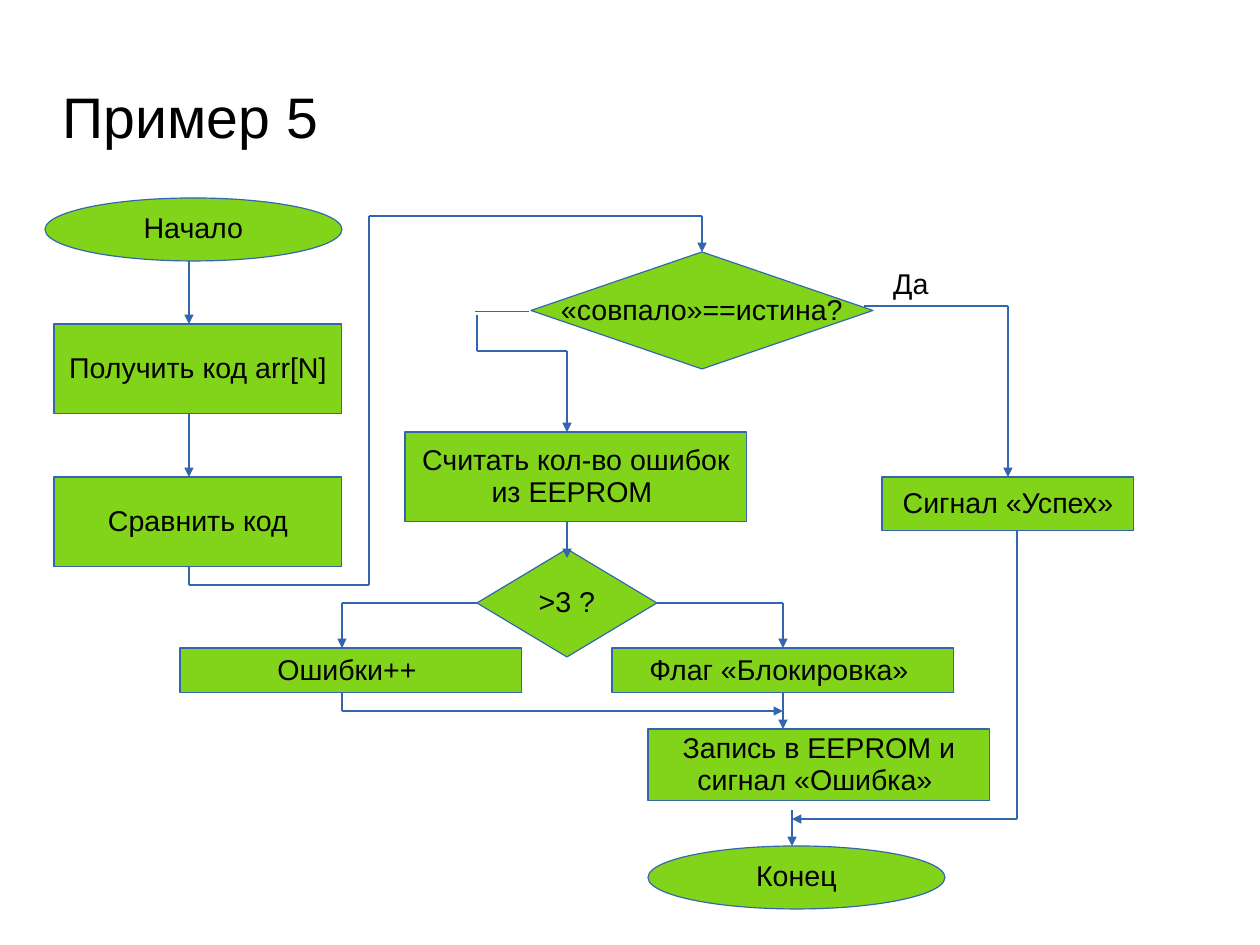
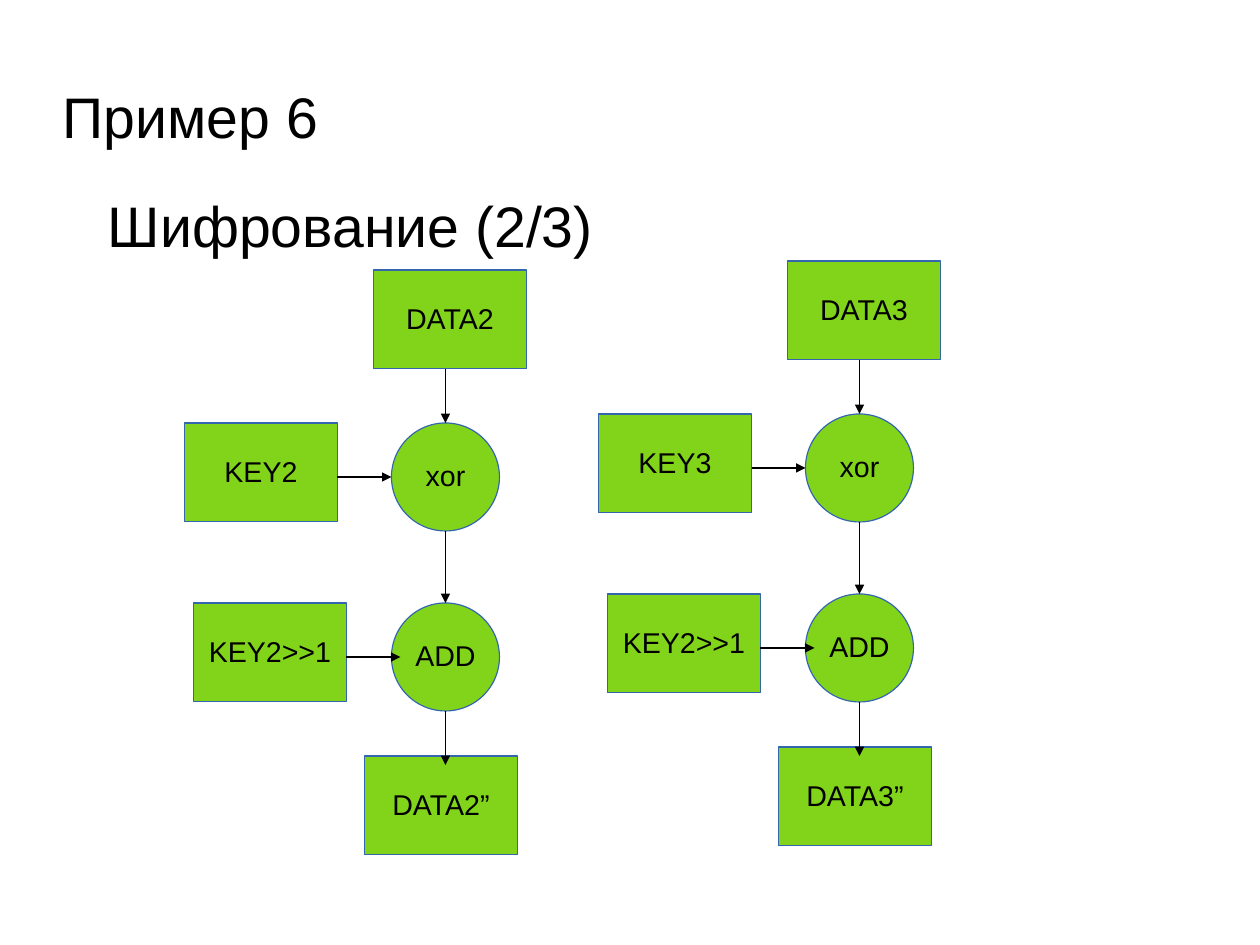
from dataclasses import dataclass
from itertools import pairwise

from lxml.etree import SubElement
from pptx import Presentation
from pptx.dml.color import RGBColor
from pptx.enum.shapes import MSO_CONNECTOR as Link, MSO_SHAPE as Preset
from pptx.enum.text import MSO_ANCHOR as Anchor, PP_ALIGN as Align
from pptx.oxml.ns import qn
from pptx.util import Cm, Pt


@dataclass(frozen=True)
class Theme:
    font: str = "Arial"
    heading_size: Pt = Pt(36)
    label_size: Pt = Pt(18)
    text: RGBColor = RGBColor(0x00, 0x00, 0x00)
    node_fill: RGBColor = RGBColor(0x81, 0xD4, 0x1A)
    node_line: RGBColor = RGBColor(0x34, 0x65, 0xAF)
    data_line: RGBColor = RGBColor(0x00, 0x00, 0x00)
    line_width: Pt = Pt(0.75)
    line_spacing: float = 0.93
    paragraph_gap: Pt = Pt(0.1)


THEME = Theme()


# Shared text and drawing parts; every length is in centimetres
def write(frame, text, size, align=Align.LEFT):
    frame.text = text
    for paragraph in frame.paragraphs:
        paragraph.alignment = align
        paragraph.line_spacing = THEME.line_spacing
        paragraph.space_before = paragraph.space_after = THEME.paragraph_gap
        paragraph.font.name = THEME.font
        paragraph.font.size = size
        paragraph.font.color.rgb = THEME.text


def add_heading(slide, text, box):
    frame = slide.shapes.add_textbox(*map(Cm, box)).text_frame
    frame.word_wrap = True
    frame.vertical_anchor = Anchor.MIDDLE
    frame.margin_left = frame.margin_right = frame.margin_bottom = 0
    frame.margin_top = Cm(0.1)
    write(frame, text, THEME.heading_size)


def add_branch_label(slide, text, box):
    frame = slide.shapes.add_textbox(*map(Cm, box)).text_frame
    frame.word_wrap = False
    frame.margin_top = Cm(0.17)
    write(frame, text, THEME.label_size)


def add_node(slide, preset, text, box):
    node = slide.shapes.add_shape(preset, *map(Cm, box))
    node.shadow.inherit = False
    node.fill.solid()
    node.fill.fore_color.rgb = THEME.node_fill
    node.line.color.rgb = THEME.node_line
    node.line.width = THEME.line_width
    node.text_frame.word_wrap = False
    node.text_frame.vertical_anchor = Anchor.MIDDLE
    write(node.text_frame, text, THEME.label_size, Align.CENTER)


def add_route(slide, points, color, arrow=True):
    """Join the points with straight legs; the last leg may carry an arrowhead."""
    for start, end in pairwise(points):
        leg = slide.shapes.add_connector(Link.STRAIGHT, *map(Cm, (*start, *end)))
        leg.line.color.rgb = color
        leg.line.width = THEME.line_width
        SubElement(leg._element.spPr, qn("a:effectLst"))
    if arrow:
        SubElement(leg.line._get_or_add_ln(), qn("a:tailEnd"), type="triangle")


def add_titled_slide(deck, title):
    slide = deck.slides.add_slide(deck.slide_layouts[6])
    add_heading(slide, title, (1.4, 1.6, 20, 2))
    return slide


# Flowchart: code check with an error counter
def add_code_check(slide, left, top):
    nodes = [
        (Preset.OVAL, "Начало", (0, 0, 6.6, 1.4)),
        (Preset.RECTANGLE, "Получить код arr[N]", (0.2, 2.8, 6.4, 2)),
        (Preset.RECTANGLE, "Сравнить код", (0.2, 6.2, 6.4, 2)),
        (Preset.DIAMOND, "«совпало»==истина?", (10.8, 1.2, 7.6, 2.6)),
        (Preset.RECTANGLE, "Считать кол-во ошибок\nиз EEPROM ", (8, 5.2, 7.6, 2)),
        (Preset.RECTANGLE, "Сигнал «Успех»", (18.6, 6.2, 5.6, 1.2)),
        (Preset.DIAMOND, ">3 ?", (9.6, 7.8, 4, 2.4)),
        (Preset.RECTANGLE, "Ошибки++ ", (3, 10, 7.6, 1)),
        (Preset.RECTANGLE, "Флаг «Блокировка» ", (12.6, 10, 7.6, 1)),
        (Preset.RECTANGLE, "Запись в EEPROM и\nсигнал «Ошибка» ", (13.4, 11.8, 7.6, 1.6)),
        (Preset.OVAL, "Конец", (13.4, 14.4, 6.6, 1.4)),
    ]
    for preset, text, (x, y, width, height) in nodes:
        add_node(slide, preset, text, (left + x, top + y, width, height))

    arrows = [
        # Reading and comparing the code
        [(3.2, 1.4), (3.2, 2.8)],
        [(3.2, 4.8), (3.2, 6.2)],
        [(3.2, 8.2), (3.2, 8.6), (7.2, 8.6), (7.2, 0.4), (14.6, 0.4), (14.6, 1.2)],
        # Match: success branch
        [(18.2, 2.4), (21.4, 2.4), (21.4, 6.2)],
        [(21.6, 7.4), (21.6, 13.8), (16.6, 13.8)],
        # No match: error branch
        [(9.6, 2.6), (9.6, 3.4), (11.6, 3.4), (11.6, 5.2)],
        [(11.6, 7.2), (11.6, 8)],
        [(9.6, 9), (6.6, 9), (6.6, 10)],
        [(13.6, 9), (16.4, 9), (16.4, 10)],
        [(6.6, 11), (6.6, 11.4), (16.4, 11.4)],
        [(16.4, 11), (16.4, 11.8)],
        [(16.6, 13.6), (16.6, 14.4)],
    ]
    for arrow in arrows:
        add_route(slide, [(left + x, top + y) for x, y in arrow], THEME.node_line)
    no_match_exit = [(left + 10.75, top + 2.53), (left + 9.55, top + 2.53)]
    add_route(slide, no_match_exit, THEME.node_line, arrow=False)
    add_branch_label(slide, "Да", (left + 18.6, top + 1.4, 1.3, 1))


# Encryption column: data passes xor and ADD, each fed by a key
def add_cipher_column(slide, left, top, data, key):
    block, circle = (3.4, 2.2), (2.4, 2.4)
    nodes = [
        (Preset.RECTANGLE, data, (4.2, 0), block),
        (Preset.RECTANGLE, key, (0, 3.4), block),
        (Preset.OVAL, "xor", (4.6, 3.4), circle),
        (Preset.RECTANGLE, "KEY2>>1", (0.2, 7.4), block),
        (Preset.OVAL, "ADD", (4.6, 7.4), circle),
        (Preset.RECTANGLE, f"{data}”", (4, 10.8), block),
    ]
    for preset, text, (x, y), size in nodes:
        add_node(slide, preset, text, (left + x, top + y, *size))

    axis = left + 5.8
    for start, end in [(2.2, 3.4), (5.8, 7.4), (9.8, 11)]:
        add_route(slide, [(axis, top + start), (axis, top + end)], THEME.data_line)
    for key_edge, level in [(3.4, 4.6), (3.6, 8.6)]:
        x, y = left + key_edge, top + level
        add_route(slide, [(x, y), (x + 1.2, y)], THEME.data_line)


def main():
    deck = Presentation()
    deck.slide_width, deck.slide_height = Cm(28), Cm(21)

    code_check = add_titled_slide(deck, "Пример 5")
    add_code_check(code_check, 1, 4.4)

    encryption = add_titled_slide(deck, "Пример 6")
    add_heading(encryption, "Шифрование (2/3)", (2.4, 3.73, 22.4, 2.57))
    add_cipher_column(encryption, 4.1, 6, "DATA2", "KEY2")
    add_cipher_column(encryption, 13.3, 5.8, "DATA3", "KEY3")

    deck.save("out.pptx")


if __name__ == "__main__":
    main()
